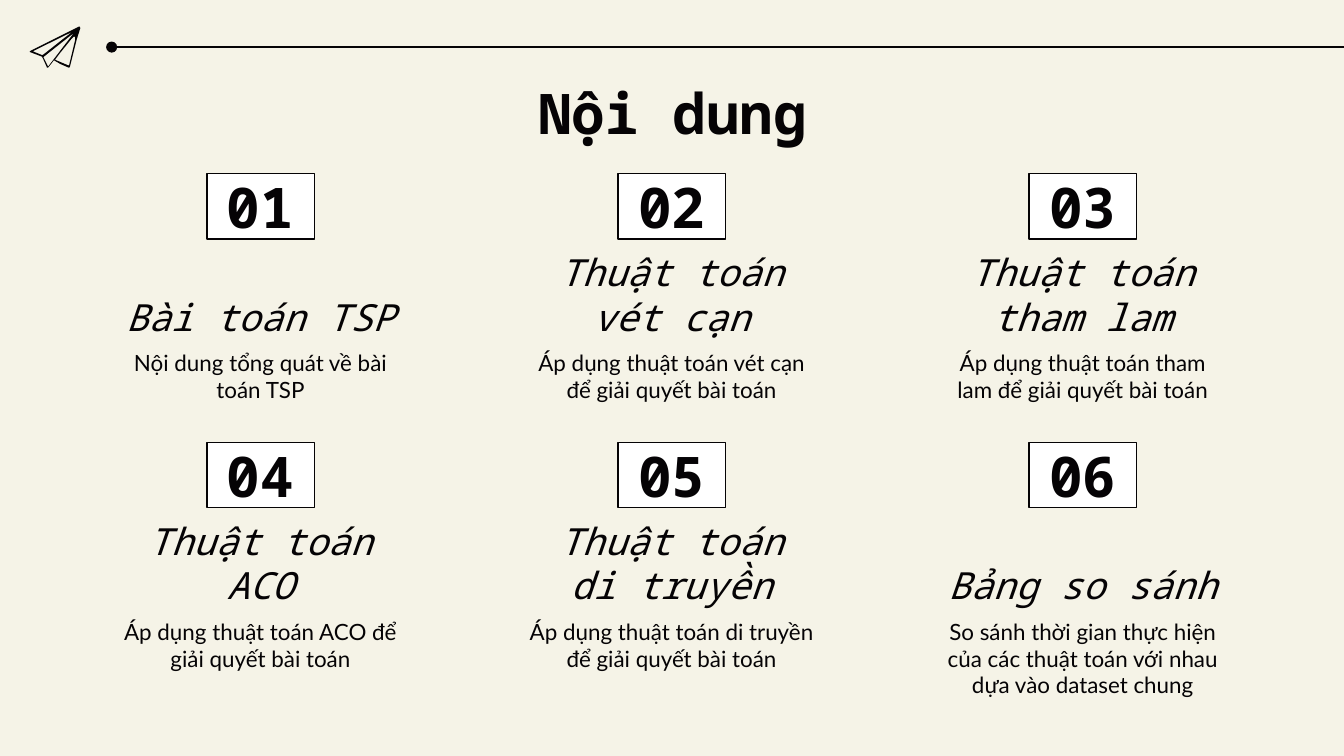
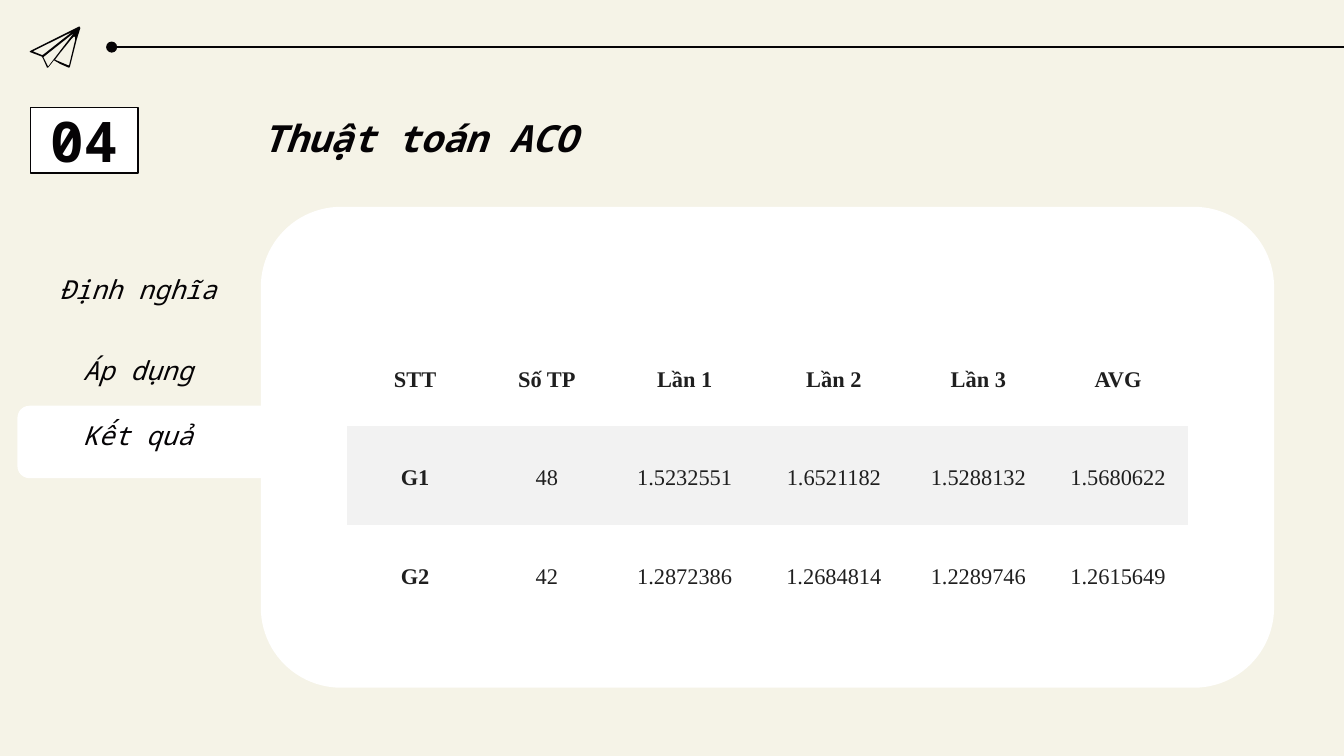
from dataclasses import dataclass

import lxml.etree
import pptx
import pptx.dml.color
import pptx.enum.shapes
import pptx.enum.text
import pptx.oxml.ns
import pptx.util

Cm = pptx.util.Cm
Pt = pptx.util.Pt
Align = pptx.enum.text.PP_ALIGN
Anchor = pptx.enum.text.MSO_ANCHOR
Preset = pptx.enum.shapes.MSO_SHAPE


def rgb(value):
    return pptx.dml.color.RGBColor.from_string(value)


@dataclass(frozen=True)
class TextStyle:
    font: str
    size: int
    color: str
    bold: bool = False
    italic: bool = False


@dataclass(frozen=True)
class Theme:
    paper: str = "F5F3E7"
    ink: str = "050305"
    card: str = "FFFFFF"
    row_band: str = "F2F2F2"
    rule_width: float = 0.75
    title: TextStyle = TextStyle("Noto Sans Mono", 30, "050305", bold=True)
    section: TextStyle = TextStyle("Noto Sans Mono", 20, "050305", bold=True, italic=True)
    topic: TextStyle = TextStyle("Noto Sans Mono", 20, "050305", italic=True)
    tab: TextStyle = TextStyle("Noto Sans Mono", 14, "050305", italic=True)
    body: TextStyle = TextStyle("Lato", 12, "050305")
    cell: TextStyle = TextStyle("Times New Roman", 12, "1F1F1F")
    cell_head: TextStyle = TextStyle("Times New Roman", 12, "1F1F1F", bold=True)


THEME = Theme()
TITLE_ONLY = 5
NO_TABLE_STYLE = "{2D5ABB26-0587-4C30-8999-92F81FD0307C}"
TAG_SIZE = (2.03, 1.24)

# Paper plane contours in hundredths of a centimetre: outline, then three holes.
PLANE = [
    [(102, 114), (91, 128), (89, 128), (81, 110), (79, 107), (58, 99), (56, 98), (58, 96),
     (148, 51), (150, 50), (152, 53), (145, 75), (132, 127), (130, 128), (114, 121)],
    [(130, 124), (131, 122), (142, 76), (142, 70), (140, 69), (134, 75), (113, 101), (104, 113)],
    [(91, 126), (140, 62), (82, 108)],
    [(137, 60), (62, 97), (79, 104), (81, 104), (119, 74)],
]

TOPICS = [
    ("Bài toán TSP", "Nội dung tổng quát về bài toán TSP"),
    ("Thuật toán vét cạn", "Áp dụng thuật toán vét cạn để giải quyết bài toán"),
    ("Thuật toán tham lam", "Áp dụng thuật toán tham lam để giải quyết bài toán"),
    ("Thuật toán ACO", "Áp dụng thuật toán ACO để giải quyết bài toán"),
    ("Thuật toán di truyền", "Áp dụng thuật toán di truyền để giải quyết bài toán"),
    ("Bảng so sánh", "So sánh thời gian thực hiện của các thuật toán với nhau dựa vào dataset chung"),
]

TABS = [("Định nghĩa", 4.78), ("Áp dụng", 6.3), ("Kết quả", 7.54)]

RESULTS = [
    ("STT", "Số TP", "Lần 1", "Lần 2", "Lần 3", "AVG"),
    ("G1", "48", "1.5232551", "1.6521182", "1.5288132", "1.5680622"),
    ("G2", "42", "1.2872386", "1.2684814", "1.2289746", "1.2615649"),
]
RESULT_WIDTHS = (2.59, 2.39, 2.82, 2.82, 2.64, 2.64)
RESULT_ROW_HEIGHT = 1.86


def write(frame, text, style, anchor):
    frame.word_wrap = True
    frame.auto_size = pptx.enum.text.MSO_AUTO_SIZE.NONE
    frame.vertical_anchor = anchor
    frame.margin_left = frame.margin_right = Cm(0.25)
    frame.margin_top = frame.margin_bottom = Cm(0.25)
    add_run(frame.paragraphs[0], text, style)


def add_run(paragraph, text, style):
    paragraph.alignment = Align.CENTER
    run = paragraph.add_run()
    run.text = text
    run.font.name = style.font
    run.font.size = Pt(style.size)
    run.font.bold = style.bold
    run.font.italic = style.italic
    run.font.color.rgb = rgb(style.color)


def set_title(slide, text, box, style, anchor):
    title = slide.shapes.title
    title.left, title.top, title.width, title.height = map(Cm, box)
    write(title.text_frame, text, style, anchor)


def add_text(slide, text, box, style, anchor=Anchor.TOP):
    write(slide.shapes.add_textbox(*map(Cm, box)).text_frame, text, style, anchor)


def paint(shape, fill):
    shape.shadow.inherit = False
    shape.fill.solid()
    shape.fill.fore_color.rgb = rgb(fill)
    shape.line.fill.background()


def add_panel(slide, preset, box):
    panel = slide.shapes.add_shape(preset, *map(Cm, box))
    paint(panel, THEME.card)
    return panel


def add_number_tag(slide, number, left, top):
    tag = add_panel(slide, Preset.RECTANGLE, (left, top, *TAG_SIZE))
    tag.line.color.rgb = rgb(THEME.ink)
    tag.line.width = Pt(THEME.rule_width)
    write(tag.text_frame, f"{number:02d}", THEME.title, Anchor.MIDDLE)


def add_header_rule(slide):
    rule = slide.shapes.add_connector(
        pptx.enum.shapes.MSO_CONNECTOR.STRAIGHT, Cm(2.11), Cm(0.89), Cm(25.4), Cm(0.89))
    rule.line.color.rgb = rgb(THEME.ink)
    rule.line.width = Pt(THEME.rule_width)
    properties = rule._element.spPr
    qn = pptx.oxml.ns.qn
    lxml.etree.SubElement(properties.get_or_add_ln(), qn("a:headEnd"), type="oval")
    lxml.etree.SubElement(properties, qn("a:effectLst"))


def add_plane(slide):
    outline, *holes = PLANE
    builder = slide.shapes.build_freeform(*outline[0], scale=Cm(0.01))
    builder.add_line_segments(outline[1:], close=True)
    for hole in holes:
        builder.move_to(*hole[0])
        builder.add_line_segments(hole[1:], close=True)
    paint(builder.convert_to_shape(), THEME.ink)


def add_results_table(slide, left, top):
    frame = slide.shapes.add_table(
        len(RESULTS), len(RESULT_WIDTHS), Cm(left), Cm(top),
        Cm(sum(RESULT_WIDTHS)), Cm(RESULT_ROW_HEIGHT * len(RESULTS)))
    table = frame.table
    table.first_row = table.horz_banding = False
    table._tbl.tblPr.find(pptx.oxml.ns.qn("a:tableStyleId")).text = NO_TABLE_STYLE
    for column, width in zip(table.columns, RESULT_WIDTHS):
        column.width = Cm(width)
    for r, values in enumerate(RESULTS):
        table.rows[r].height = Cm(RESULT_ROW_HEIGHT)
        for c, value in enumerate(values):
            cell = table.cell(r, c)
            if r % 2:
                cell.fill.solid()
                cell.fill.fore_color.rgb = rgb(THEME.row_band)
            else:
                cell.fill.background()
            cell.vertical_anchor = Anchor.MIDDLE
            cell.margin_left = cell.margin_right = Cm(0.18)
            cell.margin_top = cell.margin_bottom = 0
            paragraph = cell.text_frame.paragraphs[0]
            paragraph.line_spacing = 1.2
            is_head = r == 0 or c == 0
            add_run(paragraph, value, THEME.cell_head if is_head else THEME.cell)


def add_topic(slide, index):
    """Place one numbered topic in the three-column grid."""
    row, column = divmod(index, 3)
    left, top, width = 1.98 + 7.77 * column, 3.28 + 5.08 * row, 5.89
    heading, summary = TOPICS[index]
    add_text(slide, summary, (left, top + 3.07, width, 1.35), THEME.body)
    add_number_tag(slide, index + 1, left + (width - TAG_SIZE[0]) / 2, top)
    add_text(slide, heading, (left, top + 1.24, width, 2.13), THEME.topic, Anchor.BOTTOM)


def new_slide(deck):
    slide = deck.slides.add_slide(deck.slide_layouts[TITLE_ONLY])
    add_header_rule(slide)
    add_plane(slide)
    return slide


def build_contents(deck):
    slide = new_slide(deck)
    set_title(slide, "Nội dung", (2.01, 1.24, 21.41, 1.6), THEME.title, Anchor.TOP)
    for index in range(len(TOPICS)):
        add_topic(slide, index)


def build_aco_results(deck):
    slide = new_slide(deck)
    set_title(slide, "Thuật toán ACO", (3.4, 2.03, 9.07, 1.24), THEME.section, Anchor.BOTTOM)
    add_number_tag(slide, 4, 0.58, 2.03)
    add_panel(slide, Preset.ROUNDED_RECTANGLE, (0.33, 7.67, 7.24, 1.37))
    add_panel(slide, Preset.FLOWCHART_ALTERNATE_PROCESS, (4.93, 3.91, 19.15, 9.09))
    for label, top in TABS:
        add_text(slide, label, (0.3, top, 4.62, 1.24), THEME.tab, Anchor.BOTTOM)
    add_results_table(slide, 6.55, 6.2)


def main():
    deck = pptx.Presentation()
    deck.slide_width, deck.slide_height = Cm(25.4), Cm(14.29)
    background = deck.slide_master.background.fill
    background.solid()
    background.fore_color.rgb = rgb(THEME.paper)
    build_contents(deck)
    build_aco_results(deck)
    deck.save("out.pptx")


if __name__ == "__main__":
    main()
